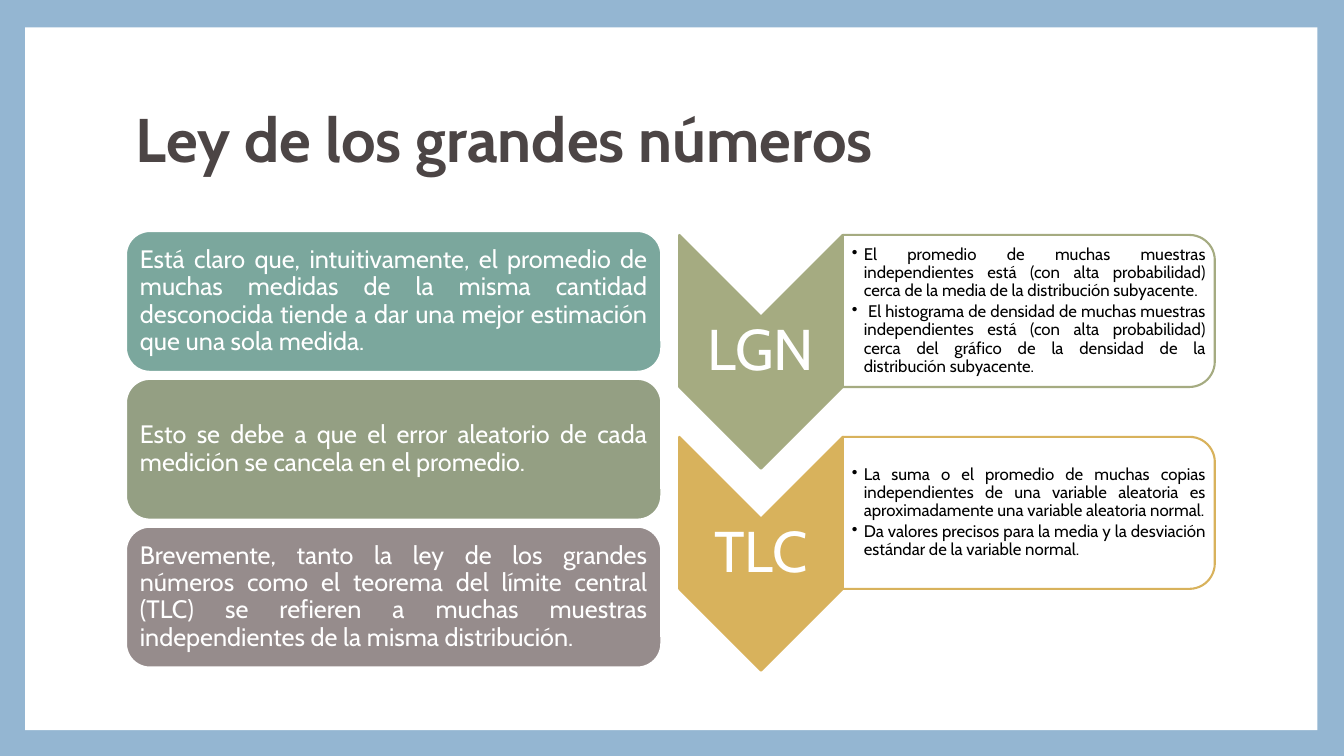
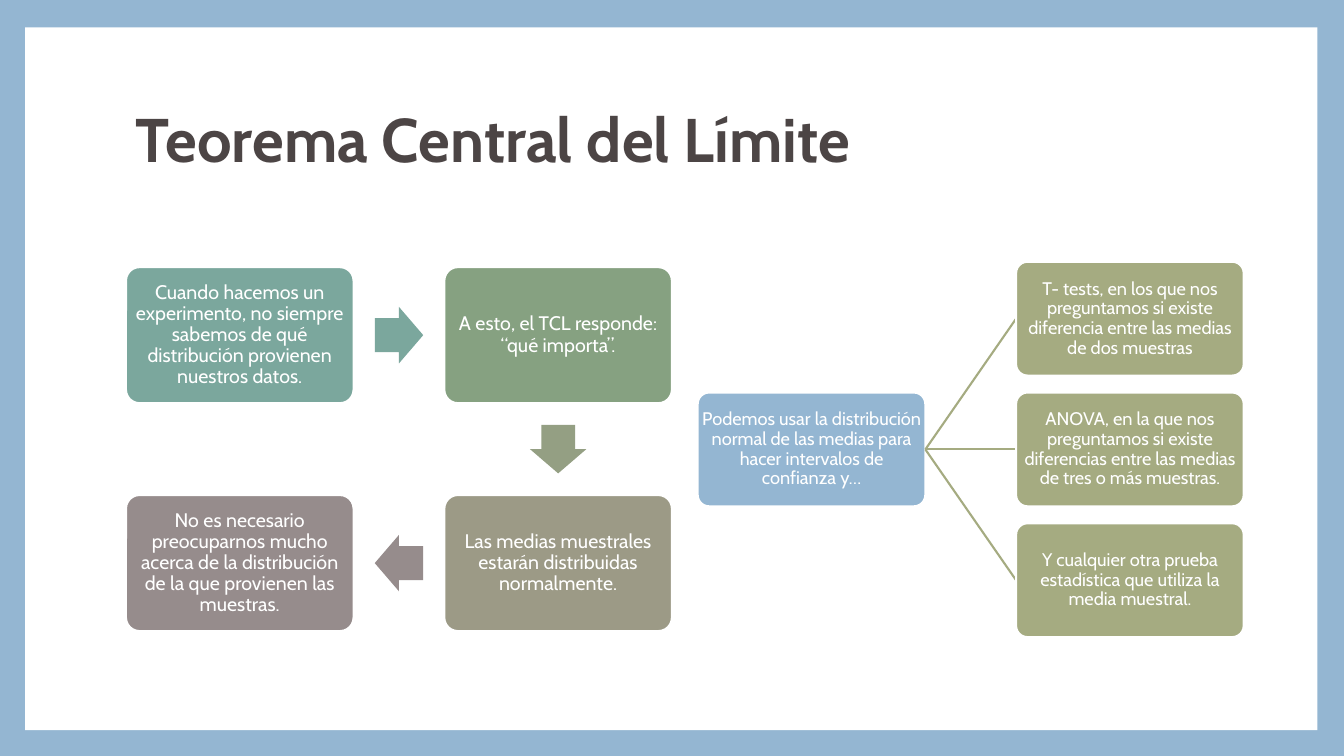
from lxml.etree import SubElement
from pptx import Presentation
from pptx.dml.color import RGBColor
from pptx.enum.shapes import MSO_CONNECTOR, MSO_SHAPE
from pptx.enum.text import MSO_ANCHOR, PP_ALIGN
from pptx.oxml.ns import qn
from pptx.util import Pt

BLUE = RGBColor(0x94, 0xB6, 0xD2)
TEAL = RGBColor(0x7B, 0xA7, 0x9D)
GREEN = RGBColor(0x86, 0xA1, 0x81)
SAGE = RGBColor(0x94, 0x9F, 0x83)
KHAKI = RGBColor(0x9C, 0x9A, 0x86)
MAUVE = RGBColor(0x96, 0x8C, 0x8C)
OLIVE = RGBColor(0xA5, 0xAB, 0x81)
GOLD = RGBColor(0xD8, 0xB2, 0x5C)
DARK = RGBColor(0x4C, 0x45, 0x45)
WHITE = RGBColor(0xFF, 0xFF, 0xFF)
BLACK = RGBColor(0x00, 0x00, 0x00)


class Deck:
    face = "Cabin"
    stroke = Pt(1.5)

    def __init__(self):
        self.show = Presentation()
        self.show.slide_width, self.show.slide_height = Pt(960), Pt(540)
        fill = self.show.slide_master.background.fill
        fill.solid()
        fill.fore_color.rgb = BLUE
        self.slide = None

    def start(self, title):
        """Add a slide with its white panel and title."""
        self.slide = self.show.slides.add_slide(self.show.slide_layouts[6])
        self.shape(MSO_SHAPE.RECTANGLE, 18, 19.5, 923, 502, WHITE)
        self.label(title, 90, 48.5, 777.5, 106.5, 44, DARK, bold=True,
                   inset=(7.2, 3.6, 7.2, 3.6))

    def shape(self, kind, x, y, w, h, fill, line=None, turn=0):
        """Add a shape; x, y, w, h bound it as seen after a quarter turn."""
        if turn % 180:
            x, y, w, h = x + (w - h) / 2, y + (h - w) / 2, h, w
        shape = self.slide.shapes.add_shape(kind, Pt(x), Pt(y), Pt(w), Pt(h))
        shape.shadow.inherit = False
        shape.rotation = turn
        shape.fill.solid()
        shape.fill.fore_color.rgb = fill
        if line is None:
            shape.line.fill.background()
        else:
            shape.line.color.rgb = line
            shape.line.width = self.stroke
        return shape

    def set_text(self, shape, texts, size, color, align, inset,
                 bold=False, bullet=False):
        frame = shape.text_frame
        frame.word_wrap = True
        frame.vertical_anchor = MSO_ANCHOR.MIDDLE
        (frame.margin_left, frame.margin_top,
         frame.margin_right, frame.margin_bottom) = map(Pt, inset)
        for i, text in enumerate(texts):
            para = frame.add_paragraph() if i else frame.paragraphs[0]
            para.text = text
            para.alignment = align
            para.line_spacing = 0.9
            if bullet:
                para.space_after = Pt(2)
                props = para._p.get_or_add_pPr()
                props.set("marL", str(Pt(8.6)))
                props.set("indent", str(-Pt(8.6)))
                SubElement(props, qn("a:buChar")).set("char", "•")
            font = para.font
            font.name, font.size, font.bold = self.face, Pt(size), bold
            font.color.rgb = color

    def label(self, text, x, y, w, h, size, color, align=PP_ALIGN.LEFT,
              bold=False, inset=(2, 2, 2, 2)):
        box = self.slide.shapes.add_textbox(Pt(x), Pt(y), Pt(w), Pt(h))
        self.set_text(box, [text], size, color, align, inset, bold)

    def bullets(self, texts, x, y, w, h):
        box = self.slide.shapes.add_textbox(Pt(x), Pt(y), Pt(w), Pt(h))
        self.set_text(box, texts, 12, BLACK, PP_ALIGN.JUSTIFY,
                      (6.5, 0.6, 0.6, 0.6), bullet=True)

    def card(self, text, x, y, w, h, fill, size, pad, round=0.1,
             align=PP_ALIGN.CENTER):
        """Add a rounded box with white text."""
        card = self.shape(MSO_SHAPE.ROUNDED_RECTANGLE, x, y, w, h, fill, WHITE)
        card.adjustments[0] = round
        self.set_text(card, [text], size, WHITE, align, [pad] * 4)
        return card

    def arrow(self, x, y, fill, turn):
        """Add a block arrow centred on x, y."""
        w, h = (40.3, 34.6) if turn % 180 else (34.6, 40.3)
        arrow = self.shape(MSO_SHAPE.RIGHT_ARROW, x - w / 2, y - h / 2,
                           w, h, fill, turn=turn)
        arrow.adjustments[0], arrow.adjustments[1] = 0.6, 0.5

    def branch(self, root, color):
        """Start a line at the right side of root; its end is joined later."""
        x, y = root.left + root.width, root.top + root.height // 2
        line = self.slide.shapes.add_connector(
            MSO_CONNECTOR.STRAIGHT, x, y, x, y)
        line.begin_connect(root, 3)
        line.line.color.rgb = color
        line.line.width = self.stroke
        SubElement(line._element.spPr, qn("a:effectLst"))
        return line


def numbers(deck):
    deck.start("Ley de los grandes números")
    cards = [
        (TEAL, "Está claro que, intuitivamente, el promedio de muchas medidas "
               "de la misma cantidad desconocida tiende a dar una mejor "
               "estimación que una sola medida."),
        (SAGE, "Esto se debe a que el error aleatorio de cada medición se "
               "cancela en el promedio."),
        (MAUVE, "Brevemente, tanto la ley de los grandes números como el "
                "teorema del límite central (TLC) se refieren a muchas "
                "muestras independientes de la misma distribución."),
    ]
    for i, (fill, text) in enumerate(cards):
        deck.card(text, 90, 165 + 105.6 * i, 382.4, 100.6, fill, 18, 5,
                  round=0.17, align=PP_ALIGN.JUSTIFY)

    laws = [
        ("LGN", OLIVE, [
            "El promedio de muchas muestras independientes está (con alta "
            "probabilidad) cerca de la media de la distribución subyacente.",
            " El histograma de densidad de muchas muestras independientes "
            "está (con alta probabilidad) cerca del gráfico de la densidad "
            "de la distribución subyacente."]),
        ("TLC", GOLD, [
            "La suma o el promedio de muchas copias independientes de una "
            "variable aleatoria es aproximadamente una variable aleatoria "
            "normal.",
            "Da valores precisos para la media y la desviación estándar de "
            "la variable normal."]),
    ]
    for i, (name, color, texts) in enumerate(laws):
        y = 167.8 + 144.2 * i
        deck.shape(MSO_SHAPE.CHEVRON, 485.2, y, 116.8, 167, color, color, 90)
        deck.label(name, 485.2, y + 58.4, 116.8, 50.2, 41, WHITE,
                   PP_ALIGN.CENTER)
        deck.shape(MSO_SHAPE.ROUND_2_SAME_RECTANGLE, 602, y, 265.7, 108.6,
                   WHITE, color, 90)
        deck.bullets(texts, 602, y + 5.3, 260, 98)


def limit(deck):
    deck.start("Teorema Central del Límite")
    w, h = 162.6, 97.2
    left, right, top, low = 90, 317.4, 190.8, 353.6
    steps = [
        (left, top, TEAL, "Cuando hacemos un experimento, no siempre sabemos "
                          "de qué distribución provienen nuestros datos."),
        (right, top, GREEN, "A esto, el TCL responde: “qué importa”."),
        (right, low, KHAKI, "Las medias muestrales estarán distribuidas "
                            "normalmente."),
        (left, low, MAUVE, "No es necesario preocuparnos mucho acerca de la "
                           "distribución de la que provienen las muestras."),
    ]
    for x, y, fill, text in steps:
        deck.card(text, x, y, w, h, fill, 14, 4.2)
    for i, fill in enumerate([TEAL, SAGE, MAUVE]):
        (ax, ay), (bx, by) = steps[i][:2], steps[i + 1][:2]
        deck.arrow((ax + bx + w) / 2, (ay + by + h) / 2, fill, 90 * i)

    tall, gap = 81.3, 93.4
    root = deck.card("Podemos usar la distribución normal de las medias para "
                     "hacer intervalos de confianza y…",
                     498.4, 280.4, w, tall, BLUE, 13, 0.7)
    tests = [
        "T- tests, en los que nos preguntamos si existe diferencia entre las "
        "medias de dos muestras",
        "ANOVA, en la que nos preguntamos si existe diferencias entre las "
        "medias de tres o más muestras.",
        "Y cualquier otra prueba estadística que utiliza la media muestral.",
    ]
    for i, text in enumerate(tests):
        line = deck.branch(root, OLIVE)
        leaf = deck.card(text, 725.8, 187 + gap * i, w, tall, OLIVE, 13, 0.7)
        line.end_connect(leaf, 1)


def main():
    deck = Deck()
    numbers(deck)
    limit(deck)
    deck.show.save("out.pptx")


if __name__ == "__main__":
    main()
